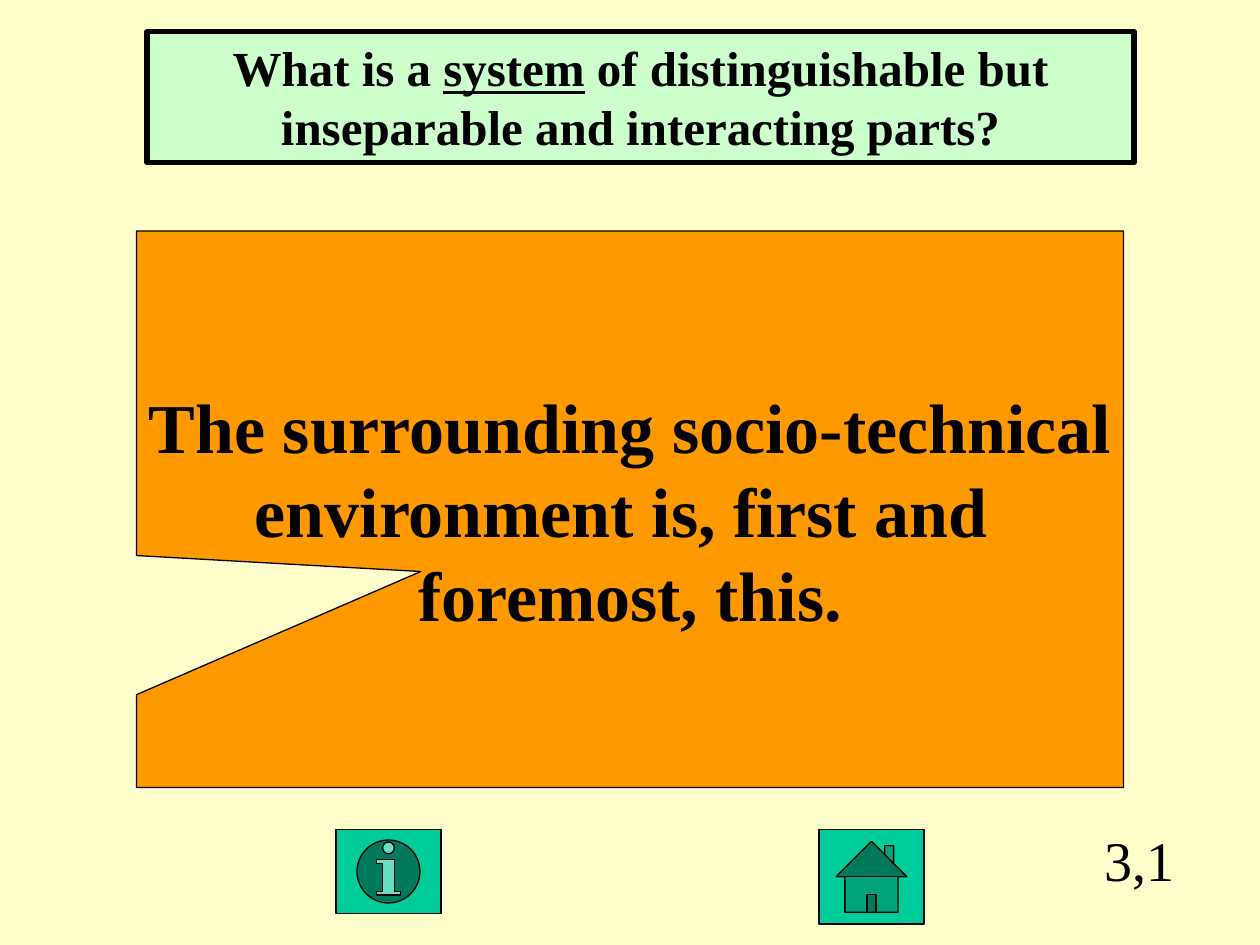
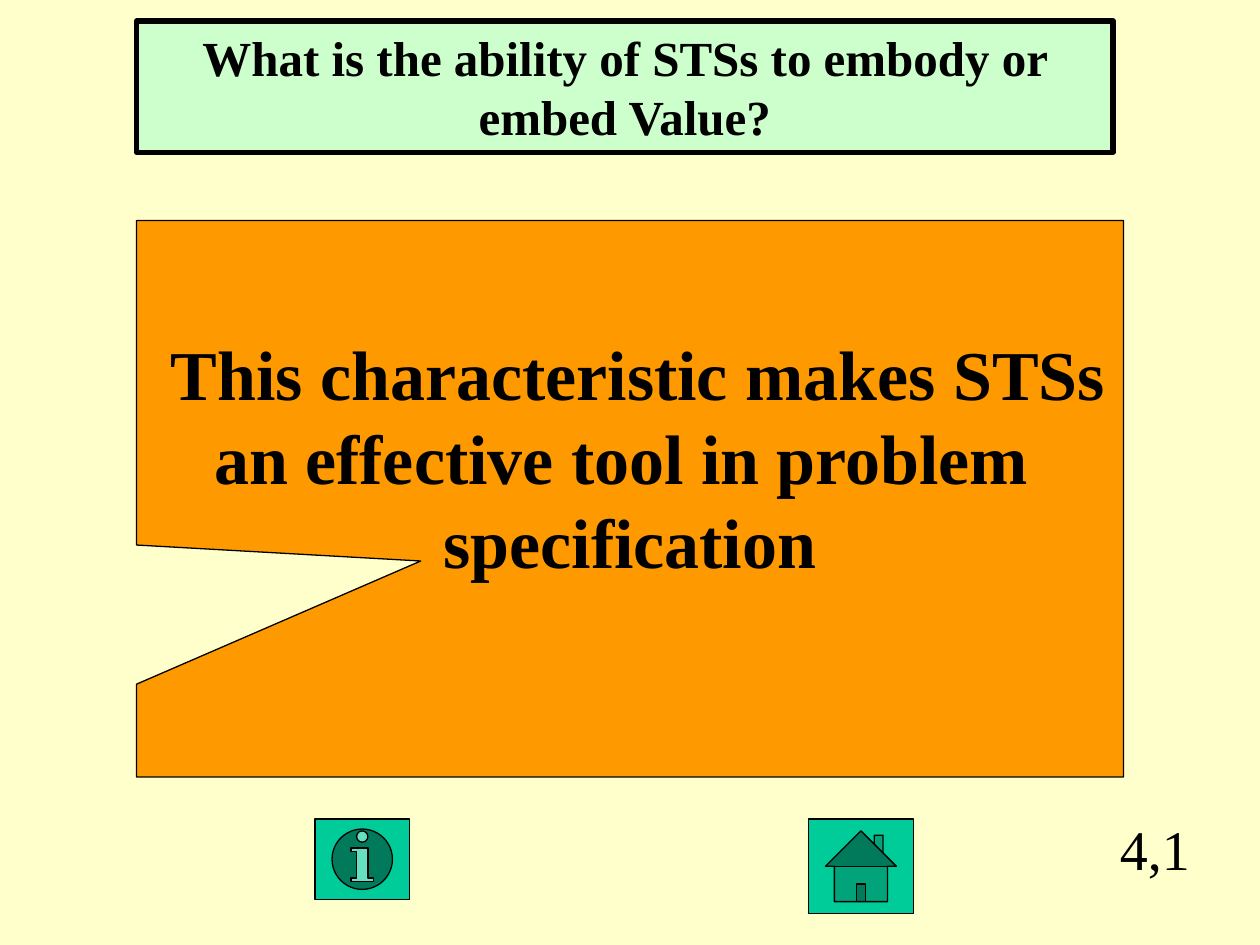
"""Builds two quiz slides: a question, its clue, two buttons and a number."""
from pptx import Presentation
from pptx.dml.color import RGBColor
from pptx.enum import shapes, text
from pptx.util import Pt

CREAM = RGBColor(0xFF, 0xFF, 0xCC)
MINT = RGBColor(0xCC, 0xFF, 0xCC)
ORANGE = RGBColor(0xFF, 0x99, 0x00)
GREEN = RGBColor(0x00, 0xCC, 0x99)
BLACK = RGBColor(0x00, 0x00, 0x00)

TITLE_ONLY = 5
CLUE_SIZE = 40
HOME = shapes.MSO_SHAPE.ACTION_BUTTON_HOME
INFO = shapes.MSO_SHAPE.ACTION_BUTTON_INFORMATION


class Quiz:
    """Holds the style of the deck and the current page."""

    font = "Times New Roman"

    def __init__(self):
        """Start an empty deck of 10 by 7.5 inches."""
        self.deck = Presentation()
        self.deck.slide_width, self.deck.slide_height = Pt(720), Pt(540)
        self.page = None

    def add_page(self):
        """Start a page on the shared background."""
        self.page = self.deck.slides.add_slide(self.deck.slide_layouts[TITLE_ONLY])
        self.page.background.fill.solid()
        self.page.background.fill.fore_color.rgb = CREAM

    def paint(self, box, fill, line_width):
        """Give a box its fill and black outline."""
        box.fill.solid()
        box.fill.fore_color.rgb = fill
        box.line.color.rgb = BLACK
        box.line.width = Pt(line_width)

    def add_lines(self, box, lines, size, bold=False, wrap=True,
                  anchor=text.MSO_ANCHOR.TOP):
        """Add centred lines; each line is a list of (words, underlined)."""
        frame = box.text_frame
        frame.word_wrap = wrap
        frame.auto_size = text.MSO_AUTO_SIZE.NONE
        frame.vertical_anchor = anchor
        for index, line in enumerate(lines):
            para = frame.add_paragraph() if index else frame.paragraphs[0]
            para.alignment = text.PP_ALIGN.CENTER
            for words, underlined in line:
                span = para.add_run()
                span.text = words
                span.font.name = self.font
                span.font.size = Pt(size)
                span.font.bold = bold
                span.font.underline = underlined
                span.font.color.rgb = BLACK

    def add_shape(self, kind, fill, place):
        """Add a thinly outlined preset shape at (left, top, width, height)."""
        box = self.page.shapes.add_shape(kind, *map(Pt, place))
        box.shadow.inherit = False
        self.paint(box, fill, 0.75)
        return box

    def add_question(self, spans, place):
        """Turn the title into the framed question."""
        box = self.page.shapes.title
        box.left, box.top, box.width, box.height = map(Pt, place)
        self.paint(box, MINT, 3)
        self.add_lines(box, [spans], 28, bold=True)

    def add_clue(self, lines, top, lift=0):
        """Add the notched callout; lift is the room kept below its text."""
        box = self.add_shape(shapes.MSO_SHAPE.RECTANGULAR_CALLOUT, ORANGE,
                             (78, top, 564, 318))
        box.adjustments[0], box.adjustments[1] = -0.212, 0.112
        box.text_frame.margin_bottom = Pt(3.6 + lift)
        self.add_lines(box, [[(line, False)] for line in lines], CLUE_SIZE,
                       bold=True, wrap=False, anchor=text.MSO_ANCHOR.MIDDLE)

    def add_number(self, label, place):
        """Add the number of the question in the lower right corner."""
        box = self.page.shapes.add_textbox(*map(Pt, place))
        self.add_lines(box, [[(label, False)]], 32)


quiz = Quiz()

quiz.add_page()
quiz.add_question([("What is a ", False), ("system", True),
                   (" of distinguishable but inseparable and interacting parts?",
                    False)], (84, 18, 564, 75))
quiz.add_clue(["The surrounding socio-technical", "environment is, first and ",
               "foremost, this."], top=132)
quiz.add_shape(INFO, GREEN, (192, 474, 60, 48))
quiz.add_shape(HOME, GREEN, (468, 474, 60, 54))
quiz.add_number("3,1", (582, 468, 138, 72))

quiz.add_page()
quiz.add_question([("What is the ability of STSs to embody or embed Value?", False)],
                  (78, 12, 558, 75))
quiz.add_clue([" This characteristic makes STSs", "an effective tool in problem ",
               "specification"], top=126, lift=1.2 * CLUE_SIZE)
quiz.add_shape(INFO, GREEN, (180, 468, 54, 46))
quiz.add_shape(HOME, GREEN, (462, 468, 60, 54))
quiz.add_number("4,1", (600, 462, 120, 78))

quiz.deck.save("out.pptx")
